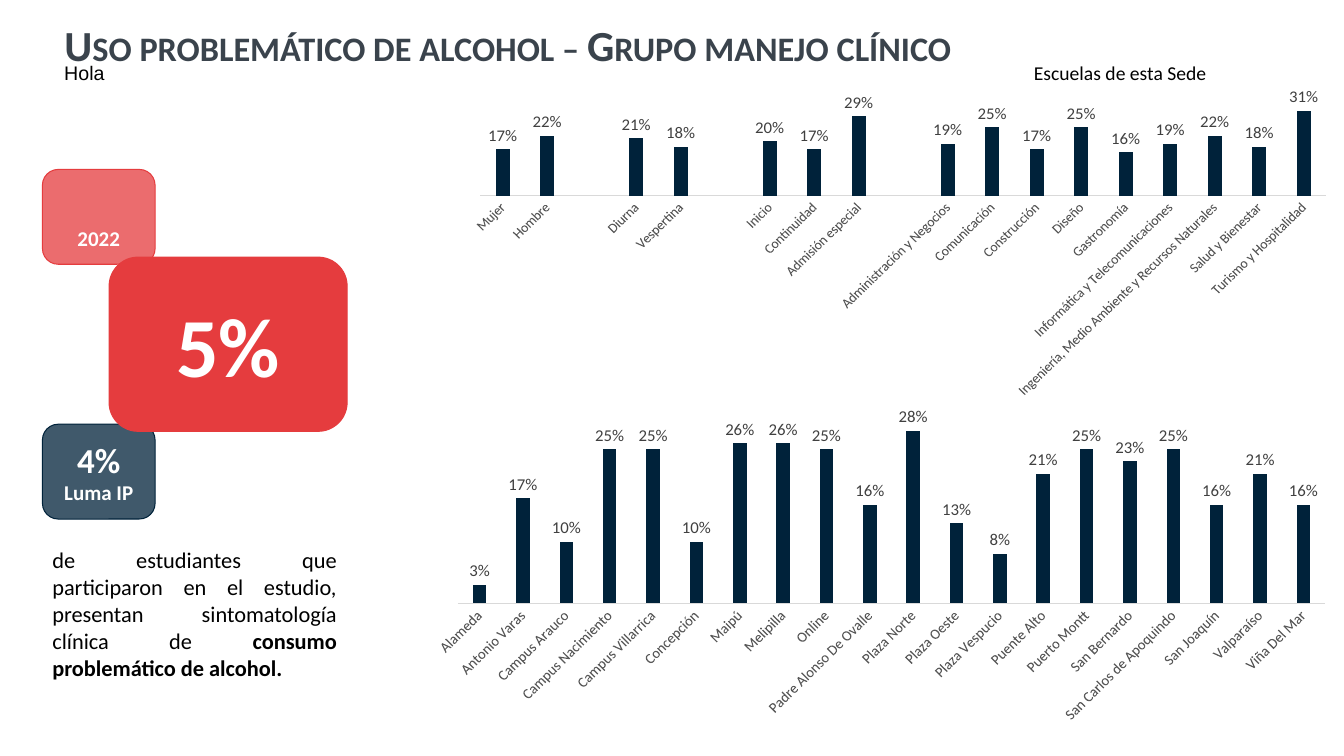
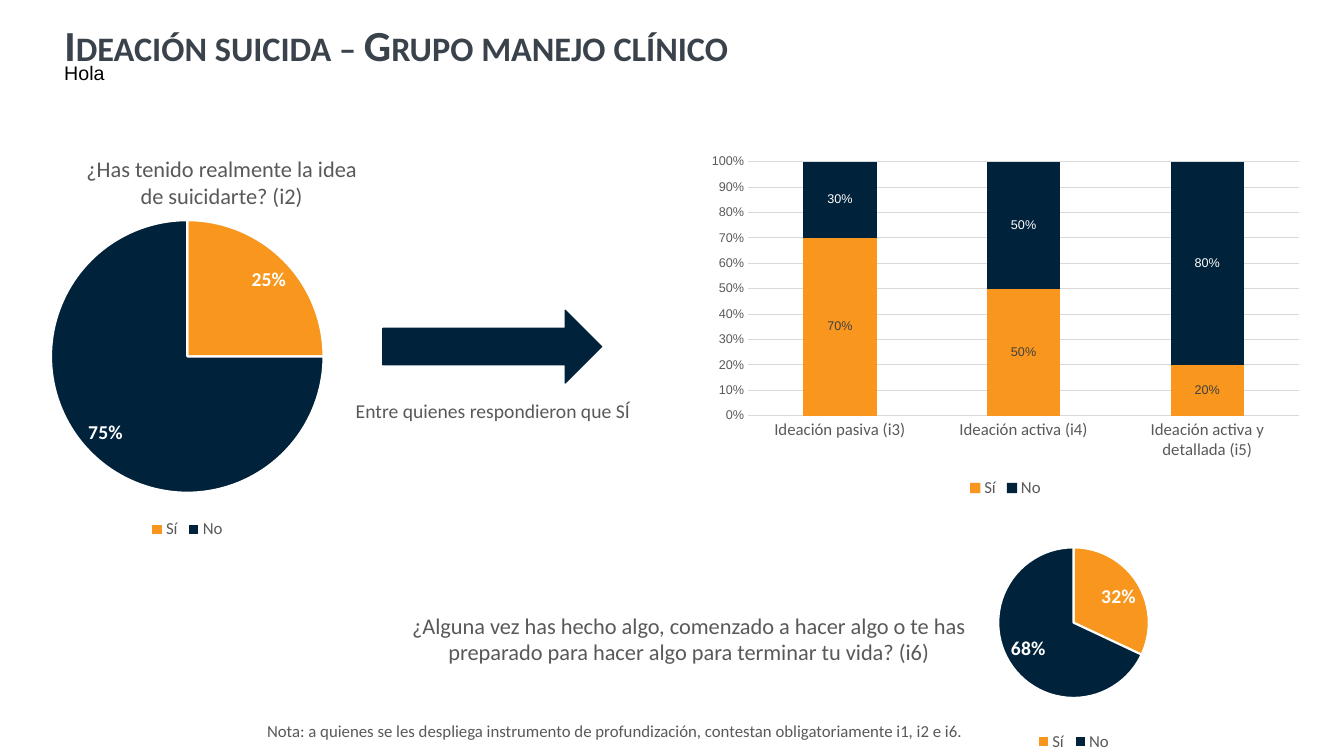
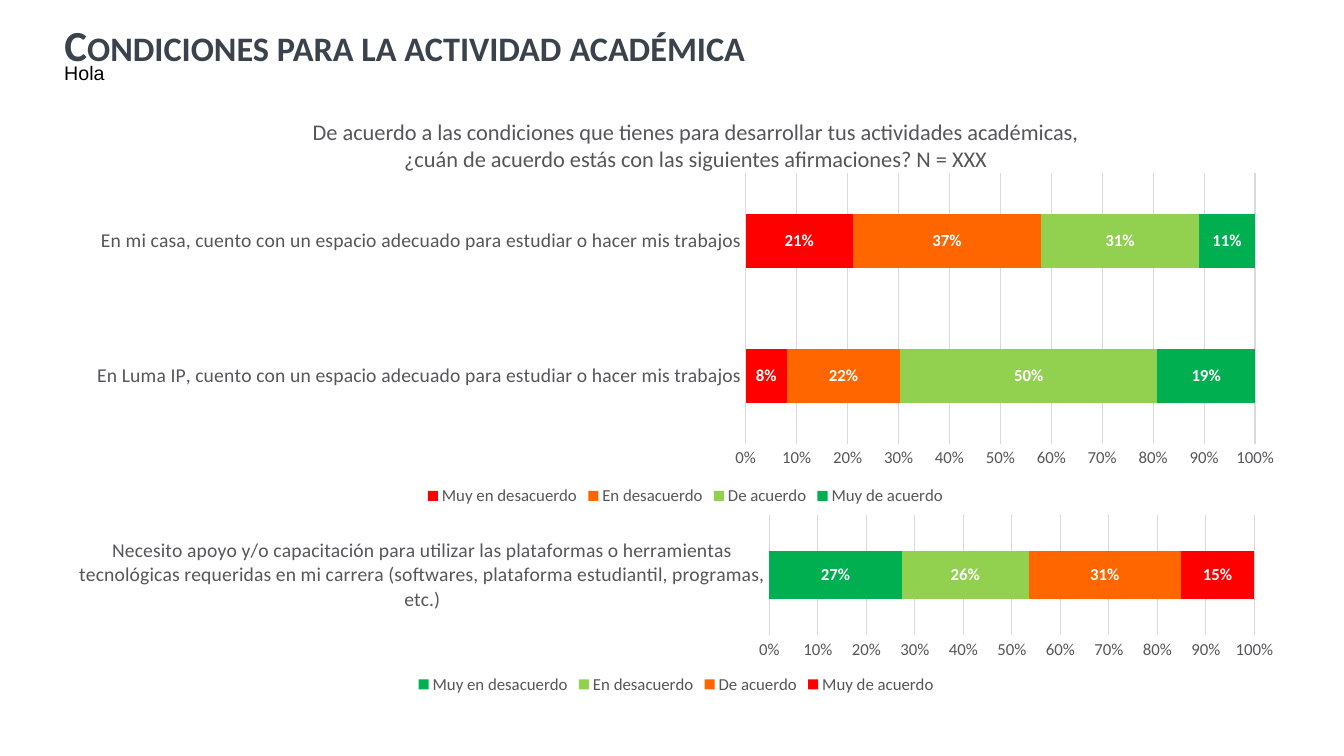
from lxml import etree
from pptx import Presentation
from pptx import util as u
from pptx.chart.data import CategoryChartData
from pptx.dml.color import RGBColor
from pptx.enum import chart as charts, shapes, text
from pptx.oxml.ns import qn

NAVY = RGBColor(0x00, 0x22, 0x3A)
RED = RGBColor(0xE5, 0x3C, 0x3E)
AMBER = RGBColor(0xF8, 0x96, 0x1E)
SLATE = RGBColor(0x3A, 0x43, 0x4C)
BLACK = RGBColor(0x00, 0x00, 0x00)
WHITE = RGBColor(0xFF, 0xFF, 0xFF)
CHARCOAL = RGBColor(0x40, 0x40, 0x40)
GREY = RGBColor(0x59, 0x59, 0x59)
WARM_GREY = RGBColor(0x56, 0x56, 0x5A)
RULE_GREY = RGBColor(0xD9, 0xD9, 0xD9)
AGREEMENT_COLORS = [RGBColor(0xFF, 0x00, 0x00), RGBColor(0xFF, 0x66, 0x00),
                    RGBColor(0x92, 0xD0, 0x50), RGBColor(0x00, 0xB0, 0x50)]
AGREEMENT_LEVELS = ["Muy en desacuerdo", "En desacuerdo", "De acuerdo", "Muy de acuerdo"]
FONT = "Calibri"
PERCENT = "0%"
LEFT, CENTER, JUSTIFY = (text.PP_ALIGN.LEFT, text.PP_ALIGN.CENTER, text.PP_ALIGN.JUSTIFY)
TOP, MIDDLE, BOTTOM = (text.MSO_ANCHOR.TOP, text.MSO_ANCHOR.MIDDLE, text.MSO_ANCHOR.BOTTOM)


def cm_box(*lengths):
    return [u.Cm(length) for length in lengths]


def format_font(font, size, color, bold=False, name=FONT):
    font.size, font.bold, font.name = u.Pt(size), bold, name
    font.color.rgb = color


def write_text(shape, *paragraphs, size=16, color=GREY, bold=False, name=FONT,
               align=CENTER, anchor=TOP):
    """Fill a shape; each paragraph is a string or a list of (text, format) runs."""
    frame = shape.text_frame
    frame.word_wrap, frame.vertical_anchor = True, anchor
    frame.auto_size = text.MSO_AUTO_SIZE.NONE
    base = dict(size=size, color=color, bold=bold, name=name)
    for index, runs in enumerate(paragraphs):
        paragraph = frame.add_paragraph() if index else frame.paragraphs[0]
        paragraph.alignment = align
        for words, changes in [(runs, {})] if isinstance(runs, str) else runs:
            run = paragraph.add_run()
            run.text = words
            format_font(run.font, **{**base, **changes})
    return frame


def add_text(slide, box, *paragraphs, **style):
    return write_text(slide.shapes.add_textbox(*cm_box(*box)), *paragraphs, **style)


def add_solid(slide, kind, box, color, opacity=100, line_width=0.75):
    shape = slide.shapes.add_shape(kind, *cm_box(*box))
    shape.shadow.inherit = False
    shape.fill.solid()
    shape.fill.fore_color.rgb = color
    shape.line.color.rgb = color
    shape.line.width = u.Pt(line_width)
    if opacity < 100:
        color_node = shape._element.spPr.find(qn("a:solidFill"))[0]
        etree.SubElement(color_node, qn("a:alpha")).set("val", str(opacity * 1000))
    return shape


def add_titled_slide(presentation, title):
    slide = presentation.slides.add_slide(presentation.slide_layouts[5])
    heading = slide.shapes.title
    heading.left, heading.top, heading.width, heading.height = cm_box(1.37, 0.62, 32.33, 2.39)
    frame = write_text(heading, title, size=30.6, color=SLATE, bold=True, align=LEFT)
    frame.margin_top = 0
    paragraph = frame.paragraphs[0]
    paragraph.line_spacing = 0.9
    paragraph.runs[0]._r.get_or_add_rPr().set("cap", "small")
    add_text(slide, (1.37, 1.42, 25, 0.86), "Hola", size=14, color=BLACK, name="Arial",
             align=LEFT)
    return slide


def set_plot_box(chart, box):
    """Fix the inner plot area; box holds fractions of the chart frame."""
    plot_area = chart._chartSpace.chart.plotArea
    for old_layout in plot_area.findall(qn("c:layout")):
        plot_area.remove(old_layout)
    layout = etree.Element(qn("c:layout"))
    plot_area.insert(0, layout)
    manual = etree.SubElement(layout, qn("c:manualLayout"))
    settings = [("layoutTarget", "inner"), ("xMode", "edge"), ("yMode", "edge"),
                *zip("xywh", box)]
    for tag, value in settings:
        etree.SubElement(manual, qn(f"c:{tag}")).set("val", str(value))


def add_chart(slide, kind, box, categories, series, legend_color=None):
    """Add a chart; series maps names to values."""
    data = CategoryChartData(number_format=PERCENT)
    data.categories = categories
    for name, values in series.items():
        data.add_series(name, values)
    chart = slide.shapes.add_chart(kind, *cm_box(*box), data).chart
    chart.has_title = False
    format_font(chart.font, 10, BLACK)
    chart.has_legend = legend_color is not None
    if chart.has_legend:
        chart.legend.position = charts.XL_LEGEND_POSITION.BOTTOM
        chart.legend.include_in_layout = False
        format_font(chart.legend.font, 12, legend_color)
    return chart


def paint(target, color):
    target.format.fill.solid()
    target.format.fill.fore_color.rgb = color


def label_values(series, position, size, color, **style):
    labels = series.data_labels
    labels.show_value = True
    labels.number_format, labels.number_format_is_linked = PERCENT, False
    labels.position = position
    format_font(labels.font, size, color, **style)


def format_category_axis(chart, size, color=GREY):
    axis = chart.category_axis
    axis.major_tick_mark = charts.XL_TICK_MARK.NONE
    axis.format.line.color.rgb = RULE_GREY
    axis.format.line.width = u.Pt(0.75)
    format_font(axis.tick_labels.font, size, color)
    return axis


def format_percent_axis(chart, size, color=GREY, name=FONT):
    axis = chart.value_axis
    axis.major_tick_mark = charts.XL_TICK_MARK.NONE
    axis.format.line.fill.background()
    axis.major_gridlines.format.line.color.rgb = RULE_GREY
    axis.major_gridlines.format.line.width = u.Pt(0.75)
    axis.tick_labels.number_format = PERCENT
    axis.tick_labels.number_format_is_linked = False
    format_font(axis.tick_labels.font, size, color, name=name)
    return axis


def add_prevalence_columns(slide, box, groups, label_size, maximum):
    """Draw columns with slanted names; a None value leaves a gap."""
    categories, values = zip(*groups)
    chart = add_chart(slide, charts.XL_CHART_TYPE.COLUMN_CLUSTERED, box,
                      categories, {"Prevalencia": values})
    plot = chart.plots[0]
    plot.gap_width, plot.overlap, plot.vary_by_categories = 219, -27, False
    paint(plot.series[0], NAVY)
    label_values(plot.series[0], charts.XL_LABEL_POSITION.OUTSIDE_END, 12, CHARCOAL)
    axis = format_category_axis(chart, label_size)
    slant = axis._element.find(qn("c:txPr")).find(qn("a:bodyPr"))
    slant.set("rot", "-2700000")
    slant.set("vert", "horz")
    value_axis = chart.value_axis
    value_axis.minimum_scale, value_axis.maximum_scale = 0, maximum
    value_axis.has_major_gridlines = False
    value_axis.visible = False


def add_yes_no_pie(slide, box, plot_box, values):
    chart = add_chart(slide, charts.XL_CHART_TYPE.PIE, box, ["Sí", "No"],
                      {"Respuesta": values}, GREY)
    set_plot_box(chart, plot_box)
    series = chart.plots[0].series[0]
    for index, color in enumerate([AMBER, NAVY]):
        point = series.points[index]
        paint(point, color)
        point.format.line.color.rgb = WHITE
        point.format.line.width = u.Pt(1.5)
    label_values(series, charts.XL_LABEL_POSITION.BEST_FIT, 14, WHITE, bold=True)


def add_ideation_columns(slide, box):
    chart = add_chart(slide, charts.XL_CHART_TYPE.COLUMN_STACKED, box,
                      ["Ideación pasiva (i3)", "Ideación activa (i4)",
                       "Ideación activa y detallada (i5)"],
                      {"Sí": [0.7, 0.5, 0.2], "No": [0.3, 0.5, 0.8]}, GREY)
    plot = chart.plots[0]
    plot.gap_width, plot.overlap = 150, 100
    for series, color, label_color in zip(plot.series, [AMBER, NAVY], [CHARCOAL, WHITE]):
        paint(series, color)
        label_values(series, charts.XL_LABEL_POSITION.CENTER, 9, label_color, name="Arial")
    format_category_axis(chart, 12)
    axis = format_percent_axis(chart, 9, name="Arial")
    axis.minimum_scale, axis.maximum_scale, axis.major_unit = 0, 1, 0.1


def add_agreement_bars(slide, box, statements, shares, colors):
    """Draw one bar per statement; shares holds a list for each agreement level."""
    chart = add_chart(slide, charts.XL_CHART_TYPE.BAR_STACKED_100, box,
                      statements, dict(zip(AGREEMENT_LEVELS, shares)), WARM_GREY)
    plot = chart.plots[0]
    plot.gap_width, plot.overlap = 150, 100
    for series, color in zip(plot.series, colors):
        paint(series, color)
        label_values(series, charts.XL_LABEL_POSITION.CENTER, 12, WHITE, bold=True)
    format_category_axis(chart, 14, WARM_GREY)
    format_percent_axis(chart, 12, WARM_GREY)


def add_result_cards(slide, left, top):
    """Stack the year, institution and result cards, with their caption below."""
    rounded = shapes.MSO_SHAPE.ROUNDED_RECTANGLE
    small_width, small_height = 2.84, 2.39
    white_bold = dict(color=WHITE, bold=True)
    year = add_solid(slide, rounded, (left, top, small_width, small_height), RED, 75)
    frame = write_text(year, "2022", size=15, anchor=BOTTOM, **white_bold)
    frame.margin_bottom = u.Cm(0.22)
    institution = add_solid(slide, rounded, (left, top + 6.42, small_width, small_height),
                            NAVY, 75)
    write_text(institution, [("4%", {"size": 25})], "Luma IP", size=15, anchor=MIDDLE,
               **white_bold)
    result = add_solid(slide, rounded, (left + 1.68, top + 2.21, 6, 4.39), RED)
    write_text(result, "5%", size=60, anchor=MIDDLE, **white_bold)
    add_text(slide, (left, top + 9.37, 7.67, 3.68),
             [("de estudiantes que participaron en el estudio, presentan sintomatología "
               "clínica de ", {}),
              ("consumo problemático de alcohol.", {"bold": True})],
             color=BLACK, align=JUSTIFY)


def build_alcohol_slide(presentation):
    slide = add_titled_slide(presentation,
                             "Uso problemático de alcohol – Grupo manejo clínico")
    add_result_cards(slide, 1.07, 4.27)
    gap = ("", None)
    profiles = [
        ("Mujer", 0.17), ("Hombre", 0.22), gap,
        ("Diurna", 0.21), ("Vespertina", 0.18), gap,
        ("Inicio", 0.2), ("Continuidad", 0.17), ("Admisión especial", 0.29), gap,
        ("Administración y Negocios", 0.19), ("Comunicación", 0.25),
        ("Construcción", 0.17), ("Diseño", 0.25), ("Gastronomía", 0.16),
        ("Informática y Telecomunicaciones", 0.19),
        ("Ingeniería, Medio Ambiente y Recursos Naturales", 0.22),
        ("Salud y Bienestar", 0.18), ("Turismo y Hospitalidad", 0.31)]
    campuses = [
        ("Alameda", 0.03), ("Antonio Varas", 0.17), ("Campus Arauco", 0.1),
        ("Campus Nacimiento", 0.25), ("Campus Villarrica", 0.25), ("Concepción", 0.1),
        ("Maipú", 0.26), ("Melipilla", 0.26), ("Online", 0.25),
        ("Padre Alonso De Ovalle", 0.16), ("Plaza Norte", 0.28), ("Plaza Oeste", 0.13),
        ("Plaza Vespucio", 0.08), ("Puente Alto", 0.21), ("Puerto Montt", 0.25),
        ("San Bernardo", 0.23), ("San Carlos de Apoquindo", 0.25), ("San Joaquín", 0.16),
        ("Valparaíso", 0.21), ("Viña Del Mar", 0.16)]
    add_prevalence_columns(slide, (11.48, 2.21, 22.38, 7.82), profiles, 10, 0.35)
    add_prevalence_columns(slide, (10.52, 10.26, 23.34, 8.13), campuses, 10.5, 0.3)
    add_text(slide, (25.04, 1.42, 6.38, 0.86), "Escuelas de esta Sede", size=14, color=BLACK)


def build_ideation_slide(presentation):
    slide = add_titled_slide(presentation, "Ideación suicida – Grupo manejo clínico")
    add_text(slide, (-0.51, 3.78, 12.19, 1.63), "¿Has tenido realmente la idea",
             "de suicidarte? (i2)")
    add_yes_no_pie(slide, (-2.9, 5.21, 15.24, 8.48), (0.27, 0.04, 0.46, 0.81), [0.25, 0.75])
    add_solid(slide, shapes.MSO_SHAPE.RIGHT_ARROW, (9.65, 7.82, 5.51, 1.83), NAVY,
              line_width=1)
    add_text(slide, (8.03, 9.93, 8.79, 0.86), "Entre quienes respondieron que SÍ", size=14)
    add_ideation_columns(slide, (17.63, 3.71, 15.42, 8.94))
    add_text(slide, (9.65, 15.29, 15.42, 1.63),
             "¿Alguna vez has hecho algo, comenzado a hacer algo o te has preparado "
             "para hacer algo para terminar tu vida? (i6)")
    add_yes_no_pie(slide, (22, 13.21, 10.11, 5.84), (0.31, 0.1, 0.38, 0.65), [0.32, 0.68])
    add_text(slide, (6.48, 18.03, 18.75, 0.76),
             "Nota: a quienes se les despliega instrumento de profundización, contestan "
             "obligatoriamente i1, i2 e i6.", size=12, align=LEFT)


def build_conditions_slide(presentation):
    slide = add_titled_slide(presentation, "Condiciones para la actividad académica")
    space = "cuento con un espacio adecuado para estudiar o hacer mis trabajos"
    add_agreement_bars(slide, (1.83, 4.19, 30.89, 8.66),
                       [f"En Luma IP, {space}", f"En mi casa, {space}"],
                       [[0.08, 0.21], [0.22, 0.37], [0.5, 0.31], [0.19, 0.11]],
                       AGREEMENT_COLORS)
    add_agreement_bars(slide, (1.37, 12.88, 31.34, 4.72),
                       ["Necesito apoyo y/o capacitación para utilizar las plataformas o "
                        "herramientas tecnológicas requeridas en mi carrera (softwares, "
                        "plataforma estudiantil, programas, etc.)"],
                       [[0.27], [0.26], [0.31], [0.15]], AGREEMENT_COLORS[::-1])
    add_text(slide, (7.26, 2.85, 20.55, 1.63),
             "De acuerdo a las condiciones que tienes para desarrollar tus actividades "
             "académicas, ¿cuán de acuerdo estás con las siguientes afirmaciones? N = XXX",
             color=WARM_GREY)


def main():
    presentation = Presentation()
    presentation.slide_width, presentation.slide_height = cm_box(33.87, 19.05)
    build_alcohol_slide(presentation)
    build_ideation_slide(presentation)
    build_conditions_slide(presentation)
    presentation.save("out.pptx")


if __name__ == "__main__":
    main()
